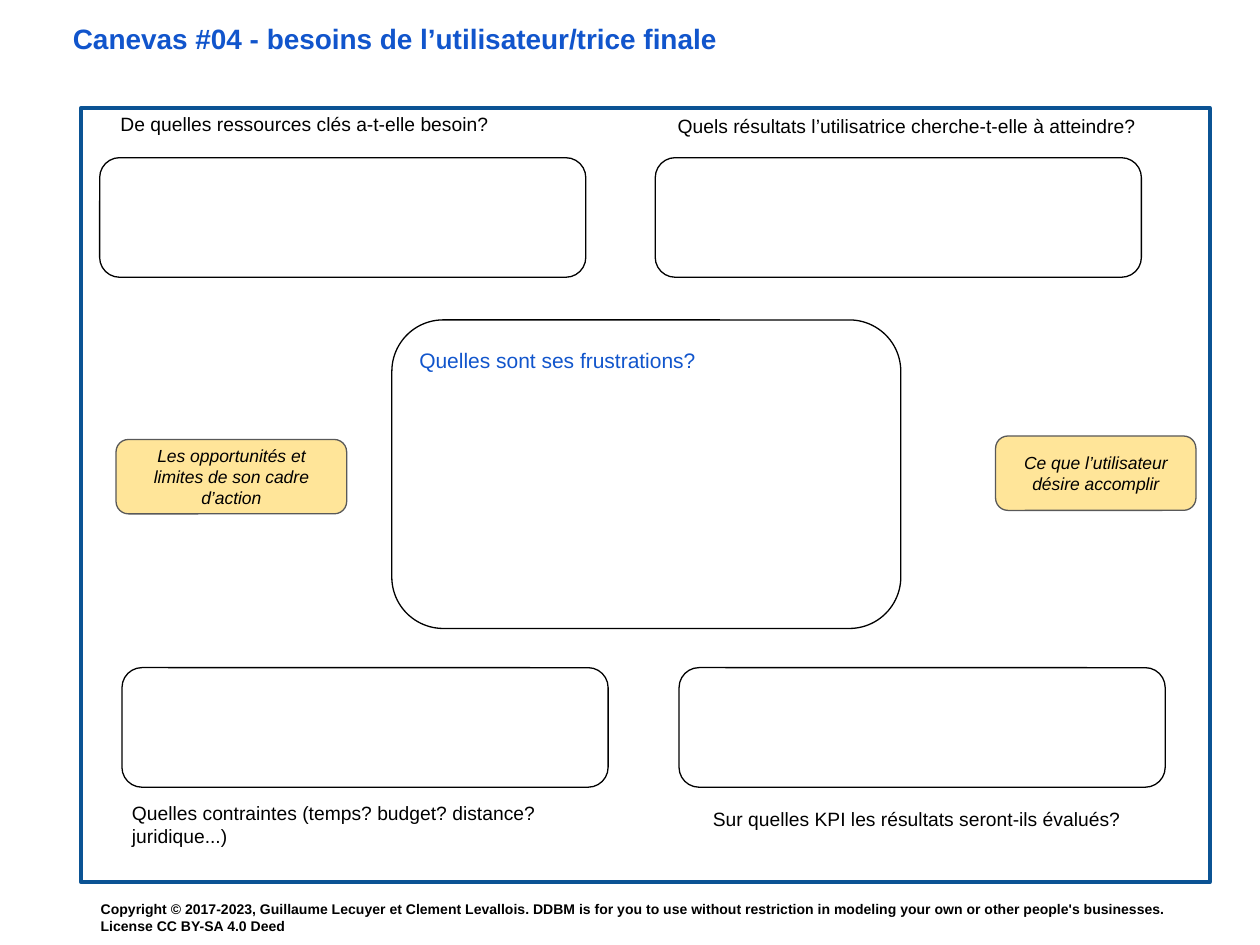
from dataclasses import dataclass
from typing import Optional

import pptx
import pptx.dml.color
import pptx.enum.shapes
import pptx.enum.text
import pptx.util

Cm = pptx.util.Cm
Pt = pptx.util.Pt
Align = pptx.enum.text.PP_ALIGN
Anchor = pptx.enum.text.MSO_ANCHOR
Preset = pptx.enum.shapes.MSO_SHAPE


@dataclass(frozen=True)
class Theme:
    font: str = "Arial"
    black: str = "000000"
    white: str = "FFFFFF"
    blue: str = "1155CC"
    frame: str = "0B5394"
    note_fill: str = "FFE599"
    note_line: str = "595959"
    title_size: int = 16
    focus_size: int = 12
    label_size: int = 11
    note_size: int = 10
    footer_size: int = 8
    thin: float = 0.75
    thick: float = 2.25
    inset: float = 0.25


THEME = Theme()


@dataclass(frozen=True)
class Area:
    left: float
    top: float
    width: float
    height: float

    def lengths(self) -> tuple:
        return Cm(self.left), Cm(self.top), Cm(self.width), Cm(self.height)


@dataclass(frozen=True)
class Style:
    size: int
    color: str = THEME.black
    bold: bool = False
    italic: bool = False
    align: Align = Align.LEFT
    anchor: Anchor = Anchor.TOP


@dataclass(frozen=True)
class Outline:
    color: str = THEME.black
    width: float = THEME.thin
    fill: Optional[str] = None
    preset: Preset = Preset.ROUNDED_RECTANGLE


TITLE = Style(THEME.title_size, THEME.blue, bold=True)
LABEL = Style(THEME.label_size)
FOCUS = Style(THEME.focus_size, THEME.blue)
NOTE = Style(THEME.note_size, italic=True, align=Align.CENTER, anchor=Anchor.MIDDLE)
FOOTER = Style(THEME.footer_size, bold=True, anchor=Anchor.MIDDLE)

FRAME_OUTLINE = Outline(THEME.frame, THEME.thick, preset=Preset.RECTANGLE)
ANSWER_OUTLINE = Outline()
FOCUS_OUTLINE = Outline(fill=THEME.white)
NOTE_OUTLINE = Outline(THEME.note_line, fill=THEME.note_fill)

FRAME = Area(1.63, 2.18, 22.76, 15.6)
FOCUS_AREA = Area(7.9, 6.45, 10.26, 6.22)
ANSWER_WIDTH, ANSWER_HEIGHT = 9.8, 2.41
ANSWER_CORNERS = [(2.01, 3.18), (13.21, 3.18), (2.46, 13.46), (13.69, 13.46)]

TEXTS = [
    ("Canevas #04 - besoins de l’utilisateur/trice finale",
     Area(1.22, 0.18, 15.09, 1.68), TITLE),
    ("De quelles ressources clés a-t-elle besoin?",
     Area(2.18, 2.03, 10.26, 1.4), LABEL),
    ("Quels résultats l’utilisatrice cherche-t-elle à atteindre?",
     Area(13.41, 2.08, 10.8, 1.5), LABEL),
    ("Quelles contraintes (temps? budget? distance? juridique...)",
     Area(2.41, 15.9, 10.26, 1.5), LABEL),
    ("Sur quelles KPI les résultats seront-ils évalués?",
     Area(14.12, 16.05, 8.99, 1.5), LABEL),
    ("Copyright © 2017-2023, Guillaume Lecuyer et Clement Levallois. "
     "DDBM is for you to use without restriction in modeling your own or "
     "other people's businesses. License CC BY-SA 4.0 Deed",
     Area(1.78, 18.11, 22.76, 0.76), FOOTER),
]

NOTES = [
    ("Les opportunités et limites de son cadre d’action", Area(2.34, 8.86, 4.65, 1.5)),
    ("Ce que l’utilisateur désire accomplir", Area(20.07, 8.79, 4.04, 1.5)),
]


def rgb(color: str) -> pptx.dml.color.RGBColor:
    return pptx.dml.color.RGBColor.from_string(color)


def write(box, text: str, style: Style) -> None:
    frame = box.text_frame
    frame.word_wrap = True
    frame.vertical_anchor = style.anchor
    frame.margin_left = frame.margin_right = Cm(THEME.inset)
    frame.margin_top = frame.margin_bottom = Cm(THEME.inset)
    para = frame.paragraphs[0]
    para.alignment = style.align
    span = para.add_run()
    span.text = text
    span.font.name = THEME.font
    span.font.size = Pt(style.size)
    span.font.bold = style.bold
    span.font.italic = style.italic
    span.font.color.rgb = rgb(style.color)


def add_text(page, text: str, area: Area, style: Style) -> None:
    write(page.shapes.add_textbox(*area.lengths()), text, style)


def add_box(page, area: Area, outline: Outline, text: str = "",
            style: Style = LABEL) -> None:
    box = page.shapes.add_shape(outline.preset, *area.lengths())
    box.shadow.inherit = False
    box.line.color.rgb = rgb(outline.color)
    box.line.width = Pt(outline.width)
    if outline.fill:
        box.fill.solid()
        box.fill.fore_color.rgb = rgb(outline.fill)
    else:
        box.fill.background()
    if text:
        write(box, text, style)


def main() -> None:
    deck = pptx.Presentation()
    deck.slide_width, deck.slide_height = Cm(25.4), Cm(19.05)
    page = deck.slides.add_slide(deck.slide_layouts[6])

    add_box(page, FRAME, FRAME_OUTLINE)
    for text, area, style in TEXTS:
        add_text(page, text, area, style)
    for left, top in ANSWER_CORNERS:
        add_box(page, Area(left, top, ANSWER_WIDTH, ANSWER_HEIGHT), ANSWER_OUTLINE)
    add_box(page, FOCUS_AREA, FOCUS_OUTLINE, "Quelles sont ses frustrations?", FOCUS)
    for text, area in NOTES:
        add_box(page, area, NOTE_OUTLINE, text, NOTE)

    deck.save("out.pptx")


if __name__ == "__main__":
    main()
